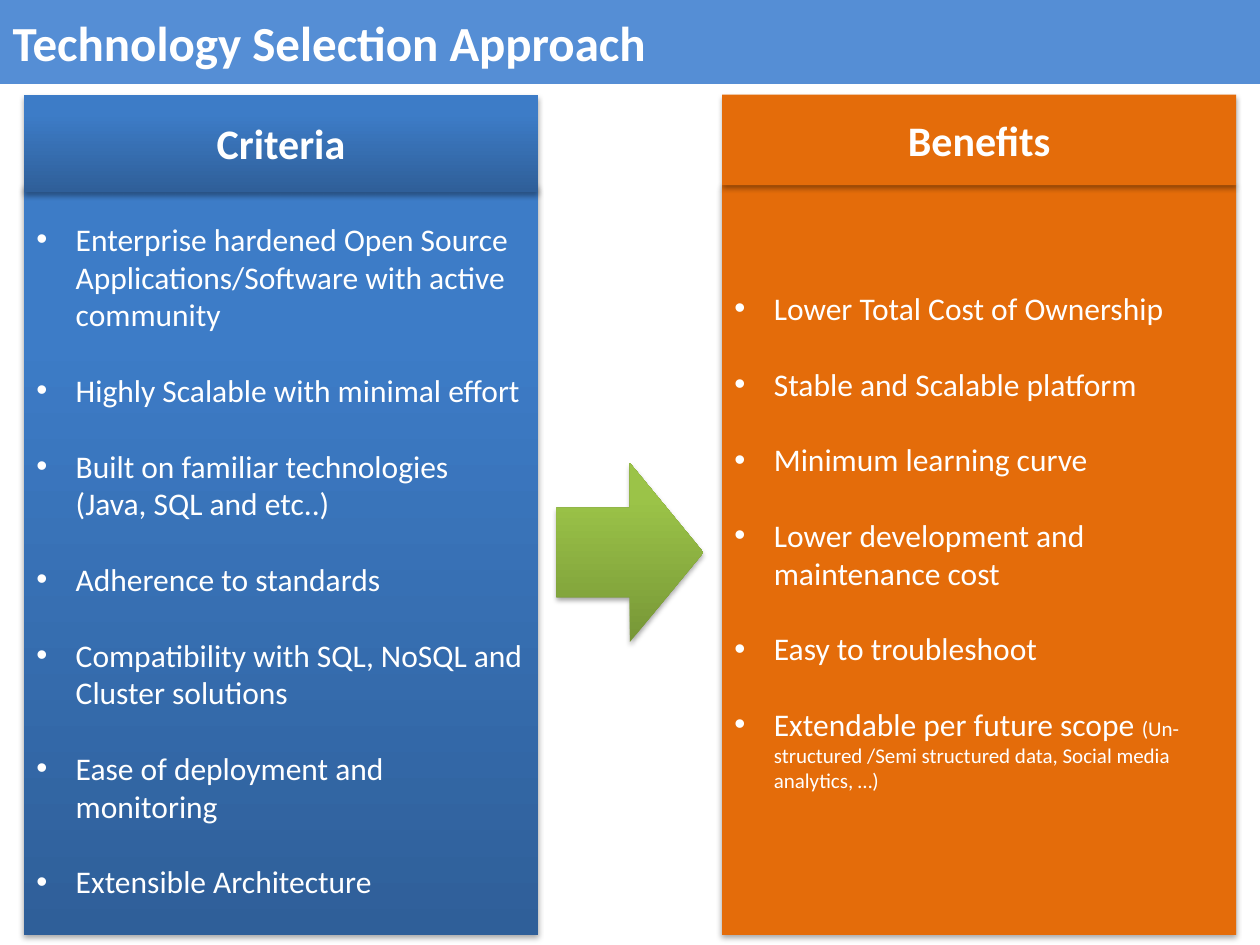
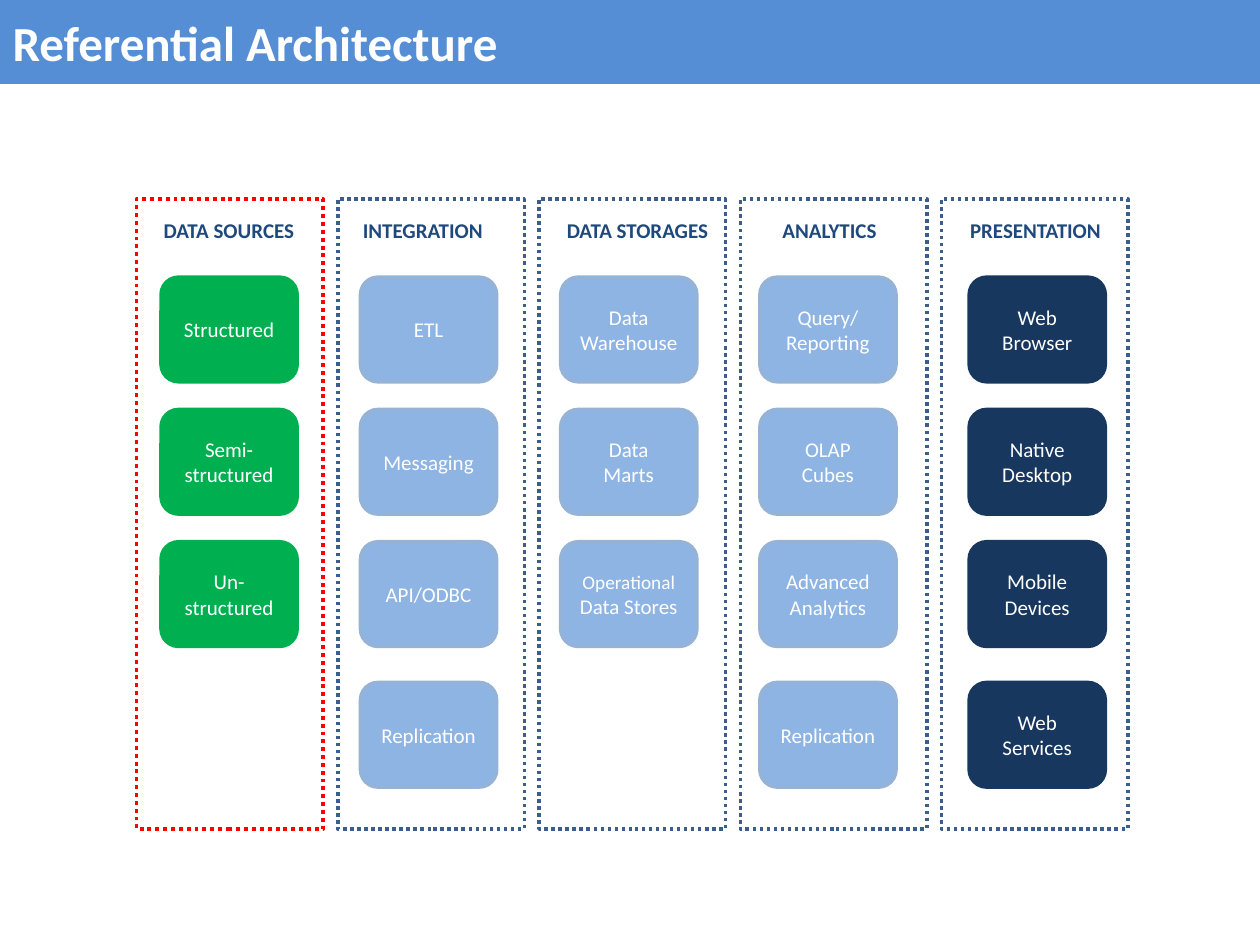
from lxml.etree import SubElement
from pptx import Presentation
from pptx.dml.color import RGBColor
from pptx.enum.dml import MSO_LINE
from pptx.enum.shapes import MSO_SHAPE as SHAPE
from pptx.enum.text import MSO_ANCHOR as ANCHOR, MSO_AUTO_SIZE as AUTO, PP_ALIGN as ALIGN
from pptx.oxml.ns import qn
from pptx.util import Pt

FONT = "Calibri"
COLORS = {
    "white": "FFFFFF", "band": "558ED5", "orange": "E46C0A",
    "blue_dark": "2F5F99", "blue_light": "3D7CC7",
    "lime_dark": "779737", "lime_light": "9BC348",
    "green": "00B050", "sky": "8EB4E3", "sky_line": "95B3D7", "navy": "17375E",
    "red": "FF0000", "frame": "3A5F8C", "heading": "1F497D",
}
BLUE = ("blue_dark", "blue_light")
LIME = ("lime_dark", "lime_light")

# Slide 1 content; a tuple holds a bullet and its small remark
CRITERIA = [
    "Enterprise hardened Open Source Applications/Software with active community",
    "Highly Scalable with minimal effort",
    "Built on familiar technologies (Java, SQL and etc..)",
    "Adherence to standards",
    "Compatibility with SQL, NoSQL and Cluster solutions",
    "Ease of deployment and monitoring",
    "Extensible Architecture",
]
BENEFITS = [
    "Lower Total Cost of Ownership",
    "Stable and Scalable platform",
    "Minimum learning curve",
    "Lower development and maintenance cost",
    "Easy to troubleshoot",
    ("Extendable per future scope ",
     "(Un- structured /Semi structured data, Social media analytics, …)"),
]

# Slide 2 content: heading, its left and width, box left, box fill and line, boxes
LAYERS = [
    ("DATA SOURCES", 86.4, 90, 92, "green", "green",
     ["Structured", "Semi-\nstructured", "Un-\nstructured"]),
    ("INTEGRATION", 200.2, 84, 206, "sky", "sky_line",
     ["ETL", "Messaging", "API/ODBC", "Replication"]),
    ("DATA STORAGES", 316.8, 96.5, 320.4, "sky", "sky_line",
     ["Data\nWarehouse", "Data\nMarts", "Operational\nData Stores"]),
    ("ANALYTICS", 440, 69, 434.2, "sky", "sky_line",
     ["Query/\nReporting", "OLAP\nCubes", "Advanced\nAnalytics", "Replication"]),
    ("PRESENTATION", 547.2, 90, 553.8, "navy", "navy",
     ["Web\nBrowser", "Native\nDesktop", "Mobile\nDevices", "Web\nServices"]),
]
ROW_TOPS = [158.4, 234, 309.6, 390]
FRAME_LEFT, FRAME_STEP = 78, 115


def rgb(name):
    return RGBColor.from_string(COLORS[name])


def style_run(r, size, color="white", bold=False):
    r.font.name, r.font.size, r.font.bold = FONT, Pt(size), bold
    r.font.color.rgb = rgb(color)


def set_text(tf, text, size, color="white", bold=False, align=ALIGN.CENTER):
    tf.text = text
    for p in tf.paragraphs:
        p.alignment = align
        for r in p.runs:
            style_run(r, size, color, bold)


def set_fill(s, fill):
    """Fill with one colour, a (bottom, top) gradient, or nothing."""
    if fill is None:
        s.fill.background()
    elif isinstance(fill, tuple):
        s.fill.gradient()
        s.fill.gradient_angle = 90
        for stop, name, position in zip(s.fill.gradient_stops, fill, (0, 0.8)):
            stop.color.rgb = rgb(name)
            stop.position = position
    else:
        s.fill.solid()
        s.fill.fore_color.rgb = rgb(fill)


def add_shape(slide, kind, left, top, width, height, fill=None, line=None, weight=2):
    s = slide.shapes.add_shape(kind, Pt(left), Pt(top), Pt(width), Pt(height))
    s.shadow.inherit = False
    set_fill(s, fill)
    if line:
        s.line.color.rgb = rgb(line)
        s.line.width = Pt(weight)
    else:
        s.line.fill.background()
    return s


def add_shadow(s):
    effects = s._element.spPr.find(qn("a:effectLst"))
    shadow = SubElement(effects, qn("a:outerShdw"), blurRad=str(Pt(3.1)),
                        dist=str(Pt(1.8)), dir="5400000", rotWithShape="0")
    color = SubElement(shadow, qn("a:srgbClr"), val="000000")
    SubElement(color, qn("a:alpha"), val="35000")


def add_title_slide(prs, title):
    slide = prs.slides.add_slide(prs.slide_layouts[5])
    s = slide.shapes.title
    s.left, s.top, s.width, s.height = 0, 0, prs.slide_width, Pt(48)
    set_fill(s, "band")
    set_text(s.text_frame, title, 28, bold=True, align=ALIGN.LEFT)
    s.text_frame.vertical_anchor = ANCHOR.MIDDLE
    return slide


def add_bullets(tf, items):
    for i, item in enumerate(items):
        p = tf.add_paragraph() if i else tf.paragraphs[0]
        p.alignment = ALIGN.LEFT
        p.space_before = Pt(21.6 if i else 0)
        parts = (item,) if isinstance(item, str) else item
        for text, size in zip(parts, (18, 12)):
            r = p.add_run()
            r.text = text
            style_run(r, size)
        pPr = p._p.get_or_add_pPr()
        pPr.set("marL", str(Pt(22.5)))
        pPr.set("indent", str(-Pt(22.5)))
        SubElement(pPr, qn("a:buFont"), typeface="Arial")
        SubElement(pPr, qn("a:buChar"), char="•")


def add_panel(slide, left, heading, heading_height, fill, items, bottom_inset=3.6):
    body = add_shape(slide, SHAPE.RECTANGLE, left, 105.8, 293.8, 428.4, fill)
    add_shadow(body)
    body.text_frame.margin_bottom = Pt(bottom_inset)
    add_bullets(body.text_frame, items)
    head = add_shape(slide, SHAPE.RECTANGLE, left, 54, 293.8, heading_height, fill)
    add_shadow(head)
    set_text(head.text_frame, heading, 24, bold=True)


def add_label(slide, text, left, width):
    s = slide.shapes.add_textbox(Pt(left), Pt(121), Pt(width), Pt(21.6))
    tf = s.text_frame
    tf.word_wrap = False
    tf.auto_size = AUTO.SHAPE_TO_FIT_TEXT
    set_text(tf, text, 12, "heading", bold=True, align=ALIGN.LEFT)


def add_layer(slide, index, heading, label_left, label_width, box_left, fill, line, boxes):
    for text, top in zip(boxes, ROW_TOPS):
        box = add_shape(slide, SHAPE.ROUNDED_RECTANGLE, box_left, top, 77.8, 59.8, fill, line)
        set_text(box.text_frame, text, 12)
        if text.startswith("Operational"):
            box.text_frame.paragraphs[0].runs[0].font.size = Pt(11)
    color, weight = ("frame", 2) if index else ("red", 2.25)
    frame = add_shape(slide, SHAPE.RECTANGLE, FRAME_LEFT + index * FRAME_STEP, 113.8,
                      106.6, 360, line=color, weight=weight)
    frame.line.dash_style = MSO_LINE.ROUND_DOT
    add_label(slide, heading, label_left, label_width)


def main():
    prs = Presentation()
    prs.slide_width, prs.slide_height = Pt(720), Pt(540)

    # Criteria lead to benefits
    slide = add_title_slide(prs, "Technology Selection Approach")
    add_panel(slide, 13.7, "Criteria", 55.6, BLUE, CRITERIA)
    arrow = add_shape(slide, SHAPE.RIGHT_ARROW, 318, 264.6, 84, 102.2, LIME)
    add_shadow(arrow)
    add_panel(slide, 412.6, "Benefits", 51.8, "orange", BENEFITS, bottom_inset=25.2)

    # Architecture layers
    slide = add_title_slide(prs, "Referential Architecture")
    for index, layer in enumerate(LAYERS):
        add_layer(slide, index, *layer)

    prs.save("out.pptx")


if __name__ == "__main__":
    main()
